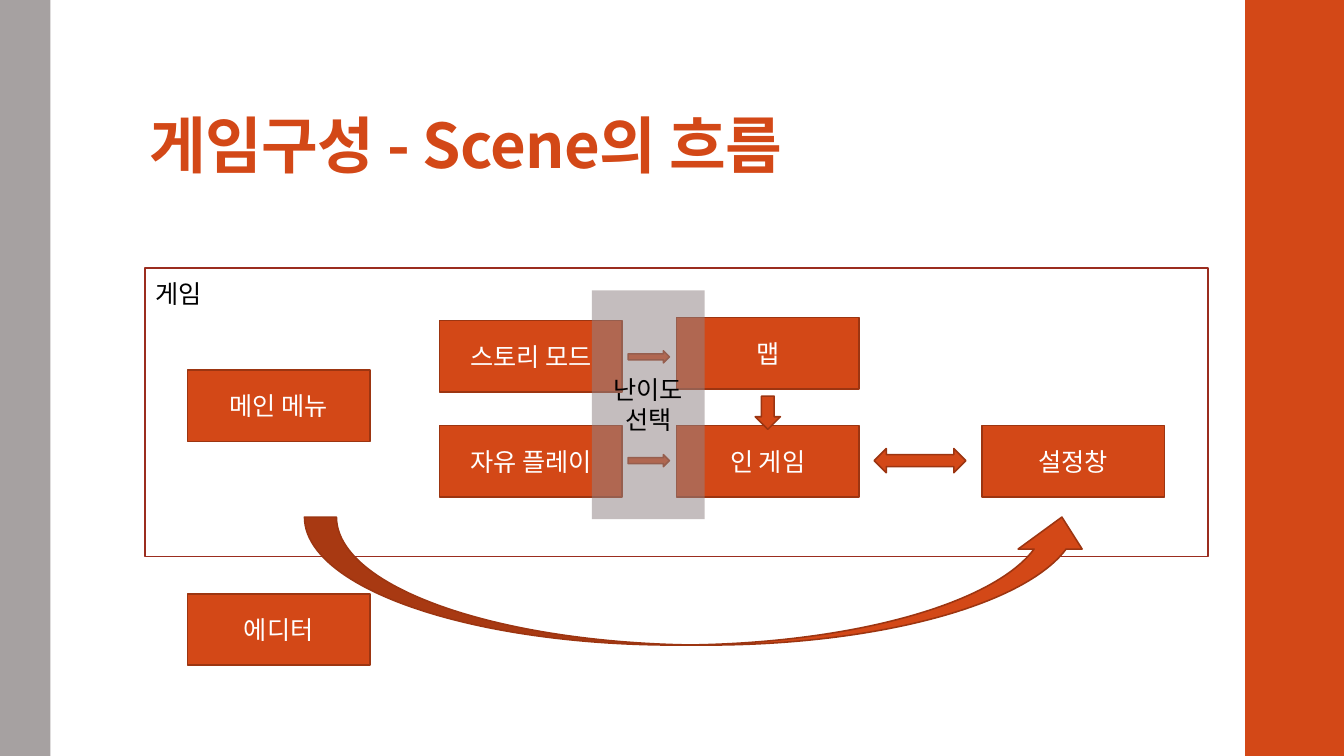
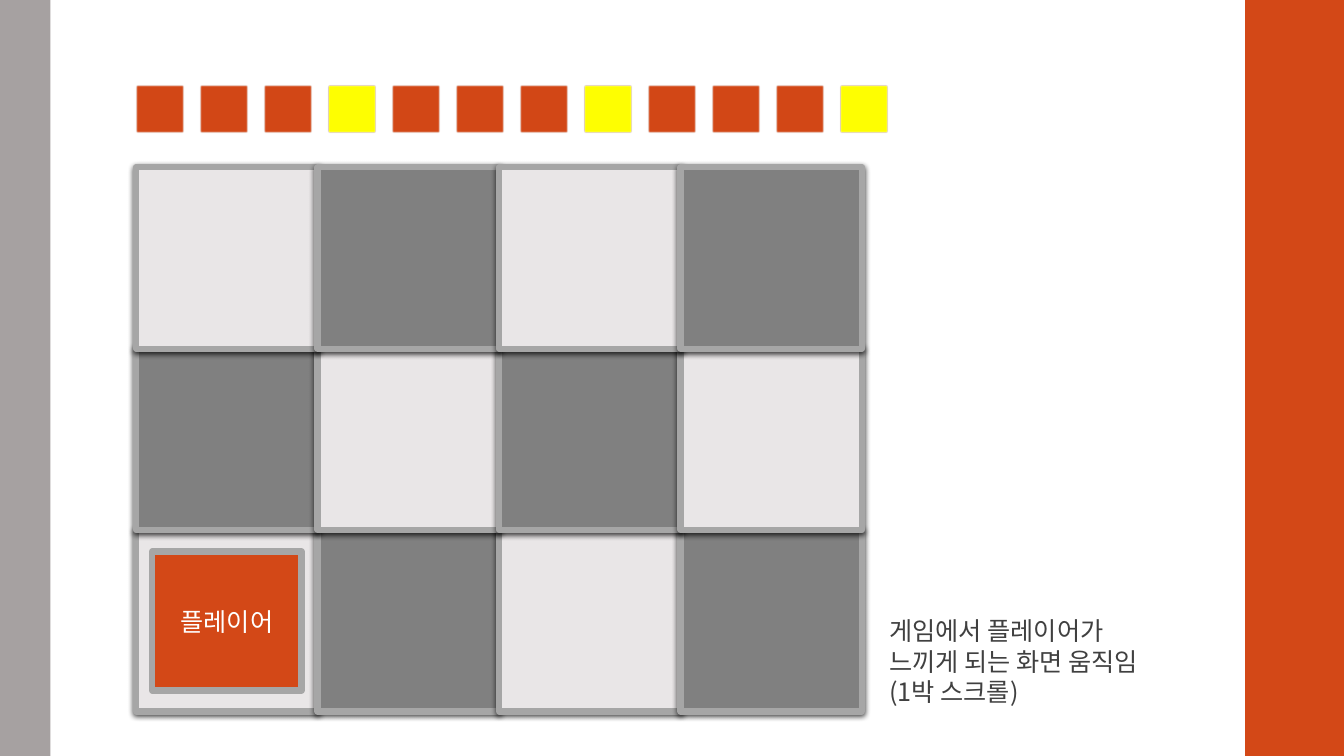
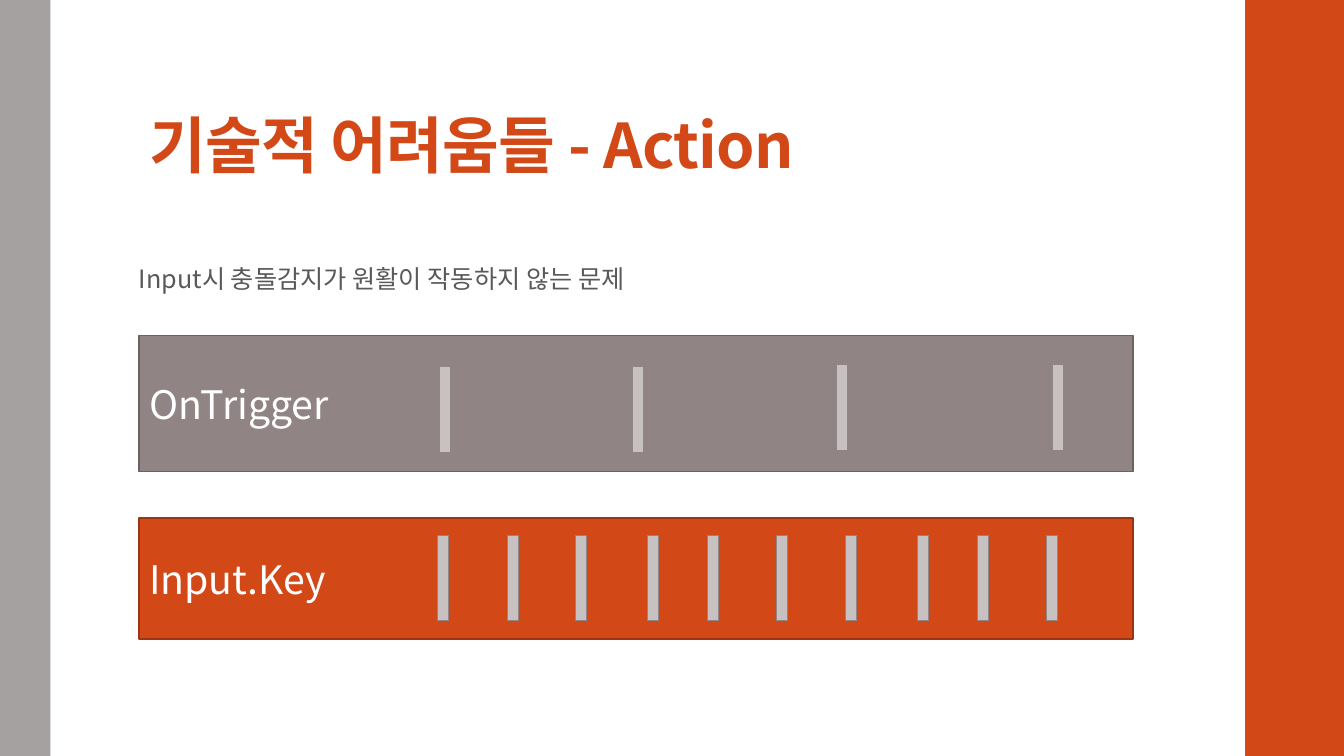
from dataclasses import dataclass

from lxml import etree
from pptx import Presentation
from pptx.dml.color import RGBColor
from pptx.enum import shapes, text
from pptx.oxml import ns
from pptx.util import Inches, Pt


@dataclass(frozen=True)
class Theme:
    accent: str = "D34817"
    accent_edge: str = "9C3511"
    band: str = "A6A1A1"
    white: str = "FFFFFF"
    black: str = "000000"
    frame: str = "9B2D1F"
    taupe: str = "918485"
    taupe_edge: str = "6B6262"
    tick: str = "C7C1C2"
    light_tile: str = "E9E6E7"
    dark_tile: str = "808080"
    tile_edge: str = "A6A6A6"
    beat: str = "FFFF00"
    beat_edge: str = "732117"
    note: str = "404040"
    problem: str = "595959"
    serif: str = "Cambria"
    sans: str = "Noto Sans CJK KR"
    title_size: int = 44
    bar_size: int = 28
    body_size: int = 18
    thin: float = 1.1
    thick: float = 4.5


theme = Theme()
kinds = shapes.MSO_SHAPE
anchors = text.MSO_ANCHOR
aligns = text.PP_ALIGN


def write(box, words, color, font=theme.sans, size=theme.body_size,
          anchor=anchors.TOP, align=aligns.LEFT, bold=False):
    """Fill the box with text in one style for Latin and Korean letters."""
    frame = box.text_frame
    frame.word_wrap = True
    frame.vertical_anchor = anchor
    frame.text = words
    for para in frame.paragraphs:
        para.alignment = align
        for span in para.runs:
            span.font.size = Pt(size)
            span.font.bold = bold
            span.font.color.rgb = RGBColor.from_string(color)
            span.font.name = font
            east_asian = etree.SubElement(span.font._element, ns.qn("a:ea"))
            east_asian.set("typeface", theme.sans)


def add_shape(page, at, fill=theme.accent, edge=theme.accent_edge,
              weight=theme.thin, kind=kinds.RECTANGLE):
    """Add a flat preset shape; edge None means no outline."""
    shape = page.shapes.add_shape(kind, *map(Inches, at))
    shape.shadow.inherit = False
    shape.fill.solid()
    shape.fill.fore_color.rgb = RGBColor.from_string(fill)
    if edge:
        shape.line.color.rgb = RGBColor.from_string(edge)
        shape.line.width = Pt(weight)
    else:
        shape.line.fill.background()
    return shape


deck = Presentation()
deck.slide_width, deck.slide_height = Inches(13.33), Inches(7.5)

# Shared bands and titles
pages = []
for title in ("게임구성 - Scene의 흐름", None, "기술적 어려움들 - Action"):
    page = deck.slides.add_slide(deck.slide_layouts[6])
    pages.append(page)
    add_shape(page, (12.35, 0, 0.98, 7.5), edge=None)
    add_shape(page, (0, 0, 0.5, 7.5), theme.band, None)
    if title:
        box = page.shapes.add_textbox(*map(Inches, (1.38, 0.32, 10.6, 1.53)))
        write(box, title, theme.accent, size=theme.title_size,
              anchor=anchors.BOTTOM, bold=True)
        box.text_frame.margin_top = Inches(0.03)
        para = box.text_frame.paragraphs[0]
        para.line_spacing = 0.9
        para.runs[0].font._element.set("spc", "-50")
flow_page, board_page, action_page = pages

# Scene flow
add_shape(flow_page, (1.44, 2.66, 10.54, 2.86), theme.white, theme.frame)
for left, top, label in (
    (1.86, 5.89, "에디터"),
    (4.36, 3.18, "스토리 모드"),
    (4.36, 4.22, "자유 플레이"),
    (9.74, 4.22, "설정창"),
    (6.71, 3.15, "맵"),
    (6.71, 4.22, "인 게임"),
    (1.86, 3.67, "메인 메뉴"),
):
    scene = add_shape(flow_page, (left, top, 1.81, 0.71))
    write(scene, label, theme.white, theme.serif,
          anchor=anchors.MIDDLE, align=aligns.CENTER)
for kind, at in (
    (kinds.RIGHT_ARROW, (6.23, 3.48, 0.41, 0.12)),
    (kinds.LEFT_RIGHT_ARROW, (8.67, 4.45, 0.91, 0.24)),
    (kinds.RIGHT_ARROW, (6.23, 4.51, 0.41, 0.12)),
    (kinds.DOWN_ARROW, (7.49, 3.93, 0.25, 0.33)),
    (kinds.CURVED_UP_ARROW, (3.02, 5.13, 7.83, 1.27)),
):
    add_shape(flow_page, at, kind=kind)
game_label = flow_page.shapes.add_textbox(*map(Inches, (1.44, 2.71, 1.57, 0.4)))
write(game_label, "게임", theme.black, theme.serif)
difficulty = add_shape(flow_page, (5.87, 2.88, 1.12, 2.27), theme.taupe, None)
fill_color = difficulty._element.spPr.find(ns.qn("a:solidFill"))[0]
etree.SubElement(fill_color, ns.qn("a:alpha")).set("val", "53000")
write(difficulty, "난이도\v선택", theme.black,
      anchor=anchors.MIDDLE, align=aligns.CENTER)

# Board, built upwards so that each row overlaps the one below
tile_size = 1.8
for row in range(3):
    for column in range(4):
        fill = theme.dark_tile if (row + column) % 2 else theme.light_tile
        at = (1.35 + column * tile_size, 5.26 - row * tile_size,
              tile_size, tile_size)
        tile = add_shape(board_page, at, fill, theme.tile_edge, theme.thick)
        effects = tile._element.spPr.find(ns.qn("a:effectLst"))
        shadow = etree.SubElement(
            effects, ns.qn("a:outerShdw"), blurRad=str(Pt(4)),
            dist=str(Pt(1.2)), dir="5400000", rotWithShape="0")
        shade = etree.SubElement(shadow, ns.qn("a:srgbClr"), val=theme.black)
        etree.SubElement(shade, ns.qn("a:alpha"), val="75000")
player = add_shape(board_page, (1.51, 5.47, 1.48, 1.38),
                   edge=theme.tile_edge, weight=theme.thick)
write(player, "플레이어", theme.white, theme.serif,
      anchor=anchors.MIDDLE, align=aligns.CENTER)

# Every fourth beat is highlighted
for index in range(12):
    strong = index % 4 == 3
    beat = add_shape(board_page, (1.35 + index * 0.635, 0.85, 0.47, 0.47),
                     theme.beat if strong else theme.accent,
                     theme.beat_edge if strong else theme.accent_edge)
    effects = beat._element.spPr.find(ns.qn("a:effectLst"))
    etree.SubElement(effects, ns.qn("a:softEdge"), rad=str(Pt(1)))
note = board_page.shapes.add_textbox(*map(Inches, (8.72, 6.06, 2.93, 1.01)))
write(note, "게임에서 플레이어가 느끼게 되는 화면 움직임\n(1박 스크롤)", theme.note)

# Timing bars
for top, height, label, fill, edge in (
    (3.33, 1.35, "OnTrigger", theme.taupe, theme.taupe_edge),
    (5.14, 1.2, "Input.Key", theme.accent, theme.accent_edge),
):
    bar = add_shape(action_page, (1.38, top, 9.86, height), fill, edge)
    write(bar, label, theme.white, size=theme.bar_size, anchor=anchors.MIDDLE)
for top, lefts in (
    (3.64, (4.36, 6.27)),
    (3.62, (8.3, 10.44)),
    (5.31, (4.34, 5.03, 5.71, 6.42, 7.02, 7.7, 8.39, 9.1, 9.69, 10.38)),
):
    for left in lefts:
        add_shape(action_page, (left, top, 0.11, 0.85),
                  theme.tick, theme.taupe, 0.75)
problem = action_page.shapes.add_textbox(*map(Inches, (1.28, 2.56, 5.04, 0.4)))
write(problem, "Input시 충돌감지가 원활이 작동하지 않는 문제", theme.problem)

deck.save("out.pptx")
